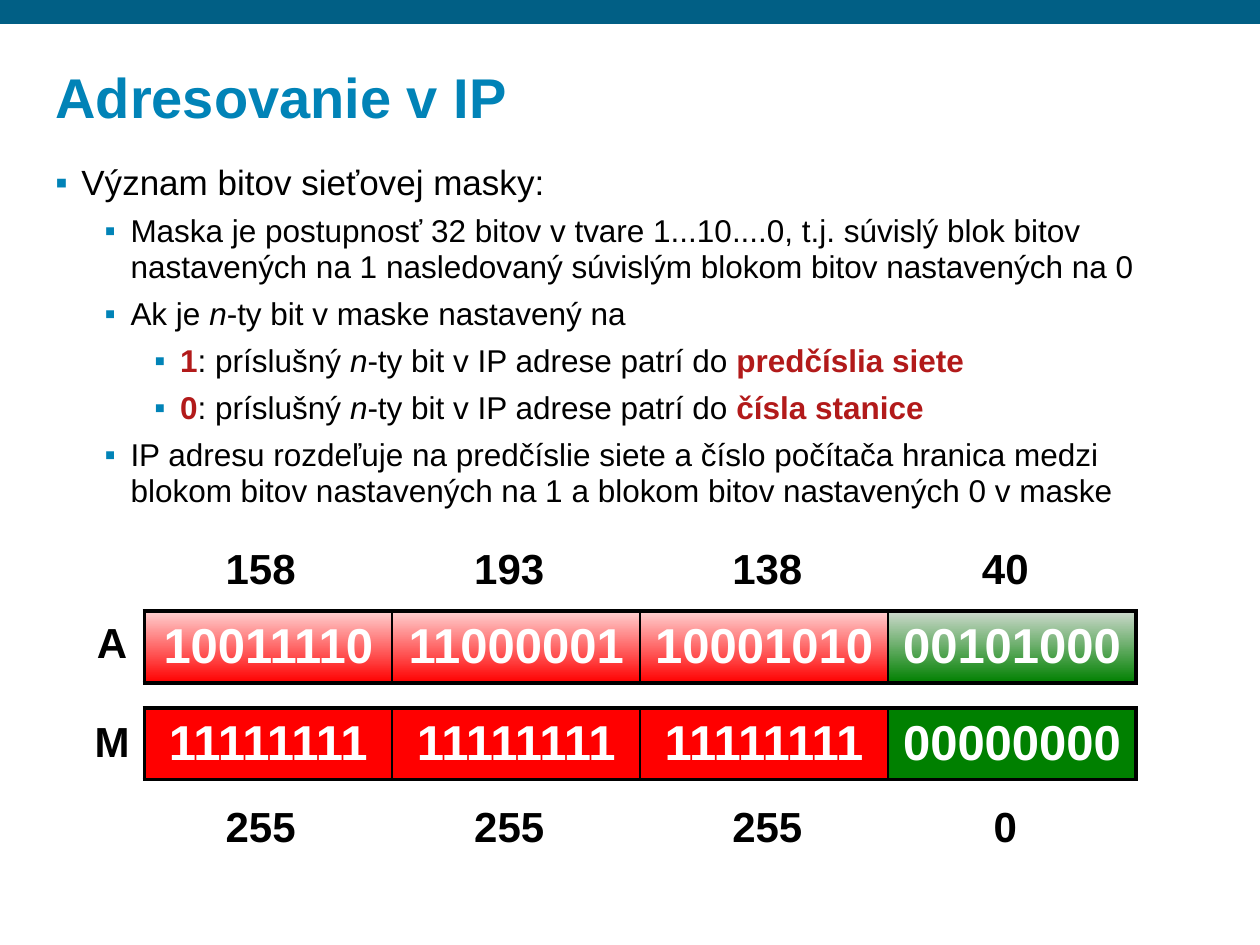
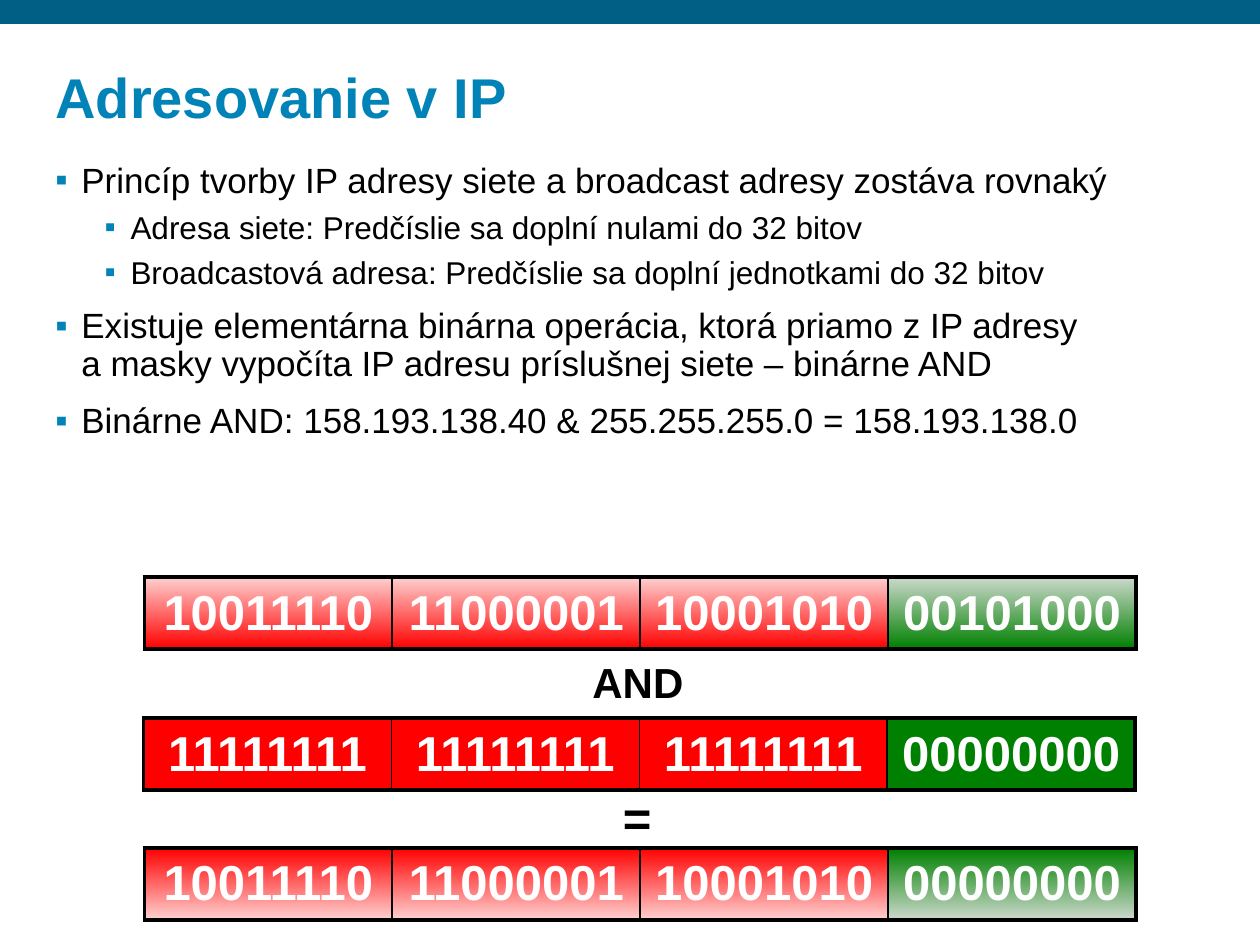
from dataclasses import dataclass

from lxml import etree
from pptx import Presentation
from pptx.dml.color import RGBColor
from pptx.enum import shapes, text
from pptx.oxml import ns
from pptx.util import Pt


@dataclass(frozen=True)
class Theme:
    font: str = "Arial"
    band: str = "015F85"
    accent: str = "0183B7"
    black: str = "000000"
    white: str = "FFFFFF"
    key: str = "B21A1A"
    red: str = "FF0000"
    pale_red: str = "FFD0D0"
    green: str = "008000"
    pale_green: str = "CDD9CD"
    title: int = 32
    bits: int = 28
    label: int = 24
    body: tuple = (20, 18, 18)          # size by outline level
    indent: tuple = (14.8, 42.9, 71.3)  # text indent by outline level
    before: tuple = (0.5, 0.35, 0.35)   # space before, share of size


T = Theme()
W, H = 720, 540
TITLE_BOX = (25.2, 23.8, 669, 54)
BODY_BOX = (25.2, 90, 669, 426)
ROW_X, ROW_W, ROW_H = 82.5, 566.6, 41
OCTET_CENTRES = (149, 291, 438.5, 574.5)
NBSP = chr(160)  # keeps a one-letter word with the next word
ADDRESS = ("10011110", "11000001", "10001010", "00101000")
MASK = ("11111111",) * 3 + ("00000000",)
NETWORK = ADDRESS[:3] + ("00000000",)

# Fills of the network part and the host part, from top to bottom
FADE_IN = ((T.pale_red, T.red), (T.pale_green, T.green))
FADE_OUT = ((T.red, T.pale_red), (T.green, T.pale_green))
SOLID = ((T.red,), (T.green,))


def rgb(value):
    return RGBColor.from_string(value)


def pts(box):
    return [Pt(v) for v in box]


def set_font(font, size, color, bold=False):
    font.name, font.size, font.bold = T.font, Pt(size), bold
    font.color.rgb = rgb(color)


def sub(parent, tag, **attrs):
    return etree.SubElement(parent, ns.qn(tag), **attrs)


def add_frame(s, box):
    """Wrapping text box with the margins of the title and body."""
    tf = s.shapes.add_textbox(*pts(box)).text_frame
    tf.word_wrap = True
    tf.margin_left = tf.margin_right = Pt(6.5)
    tf.margin_top = tf.margin_bottom = Pt(3.2)
    return tf


def add_base(prs, title):
    """Slide with the top band and the title."""
    s = prs.slides.add_slide(prs.slide_layouts[6])
    band = s.shapes.add_shape(shapes.MSO_SHAPE.RECTANGLE, *pts((0, 0, W, 13.7)))
    band.shadow.inherit = False
    band.fill.solid()
    band.fill.fore_color.rgb = rgb(T.band)
    band.line.fill.background()

    tf = add_frame(s, TITLE_BOX)
    tf.vertical_anchor = text.MSO_ANCHOR.BOTTOM
    p = tf.paragraphs[0]
    p.line_spacing = 0.9
    p.add_run().text = title
    set_font(p.font, T.title, T.accent, True)
    return s


def add_bullet(p, level):
    pPr = p._p.get_or_add_pPr()
    pPr.set("marL", str(Pt(T.indent[level])))
    pPr.set("indent", str(-Pt(T.indent[0])))
    sub(sub(pPr, "a:buClr"), "a:srgbClr", val=T.accent)
    sub(pPr, "a:buFont", typeface=T.font)
    sub(pPr, "a:buChar", char="▪")


def add_body(s, box, items):
    """Outline of (level, line spacing, runs); a run is (text, style)."""
    tf = add_frame(s, box)
    for i, (level, spacing, runs) in enumerate(items):
        p = tf.add_paragraph() if i else tf.paragraphs[0]
        p.level = level
        p.line_spacing = spacing
        p.space_before = Pt(T.body[level] * T.before[level])
        add_bullet(p, level)
        set_font(p.font, T.body[level], T.black)
        for words, style in runs:
            r = p.add_run()
            r.text = words
            if style == "italic":
                r.font.italic = True
            elif style == "key":
                r.font.bold = True
                r.font.color.rgb = rgb(T.key)


def plain(level, spacing, words):
    return level, spacing, [(words, "")]


def bit_rule(bit, part):
    return 2, 0.95, [(bit, "key"), (": príslušný ", ""), ("n", "italic"),
                     ("-ty bit v IP adrese patrí do ", ""), (part, "key")]


def add_borders(cell, first, last):
    tcPr = cell._tc.get_or_add_tcPr()
    widths = {"L": 2.25 if first else 1, "R": 2.25 if last else 1, "T": 2.25, "B": 2.25}
    for side, width in widths.items():
        ln = sub(tcPr, f"a:ln{side}", w=str(Pt(width)))
        sub(sub(ln, "a:solidFill"), "a:srgbClr", val=T.black)


def fill_cell(cell, colors):
    if len(colors) == 1:
        cell.fill.solid()
        cell.fill.fore_color.rgb = rgb(colors[0])
        return
    cell.fill.gradient()
    cell.fill.gradient_angle = 270
    for stop, color in zip(cell.fill.gradient_stops, colors):
        stop.color.rgb = rgb(color)


def add_bit_row(s, x, y, octets, fills):
    """One 32-bit row: three network octets and one host octet."""
    n = len(octets)
    table = s.shapes.add_table(1, n, *pts((x, y, ROW_W, ROW_H))).table
    table.first_row = table.horz_banding = False
    for i, octet in enumerate(octets):
        table.columns[i].width = Pt(ROW_W / n)
        cell = table.cell(0, i)
        add_borders(cell, i == 0, i == n - 1)
        fill_cell(cell, fills[i == n - 1])
        cell.vertical_anchor = text.MSO_ANCHOR.MIDDLE
        p = cell.text_frame.paragraphs[0]
        p.alignment = text.PP_ALIGN.CENTER
        p.space_before = Pt(T.bits * 0.2)
        p.add_run().text = octet
        set_font(p.font, T.bits, T.white, True)


def add_label(s, centre, y, words, size=T.label):
    """Bold label centred on a given x."""
    w, h = 14.4 + len(words) * size * 0.9, 7.2 + size * 1.08
    tf = s.shapes.add_textbox(*pts((centre - w / 2, y, w, h))).text_frame
    tf.word_wrap = False
    tf.auto_size = text.MSO_AUTO_SIZE.SHAPE_TO_FIT_TEXT
    p = tf.paragraphs[0]
    p.alignment = text.PP_ALIGN.CENTER
    p.line_spacing = 0.9
    p.add_run().text = words
    set_font(p.font, size, T.black, True)


def add_octet_labels(s, y, values):
    for centre, value in zip(OCTET_CENTRES, values):
        add_label(s, centre, y, value)


def mask_slide(prs):
    s = add_base(prs, "Adresovanie v IP")
    add_body(s, BODY_BOX, [
        plain(0, 0.95, "Význam bitov sieťovej masky:"),
        plain(1, 0.95, "Maska je postupnosť 32 bitov v tvare 1...10....0, t.j. súvislý blok bitov "
                       "nastavených na 1 nasledovaný súvislým blokom bitov nastavených na 0"),
        (1, 0.95, [("Ak je ", ""), ("n", "italic"), ("-ty bit v maske nastavený na", "")]),
        bit_rule("1", "predčíslia siete"),
        bit_rule("0", "čísla stanice"),
        plain(1, 0.95, "IP adresu rozdeľuje na predčíslie siete a číslo počítača hranica medzi "
                       "blokom bitov nastavených na 1 a blokom bitov nastavených 0 v maske"),
    ])
    # Address and mask, with their decimal values
    add_bit_row(s, ROW_X, 349.2, ADDRESS, FADE_IN)
    add_bit_row(s, ROW_X, 404.6, MASK, SOLID)
    add_label(s, 64, 352, "A")
    add_label(s, 64, 408.6, "M")
    add_octet_labels(s, 309.6, ("158", "193", "138", "40"))
    add_octet_labels(s, 457.2, ("255", "255", "255", "0"))


def and_slide(prs):
    s = add_base(prs, "Adresovanie v IP")
    add_body(s, BODY_BOX, [
        plain(0, 0.9, "Princíp tvorby IP adresy siete a broadcast adresy zostáva rovnaký"),
        plain(1, 0.9, "Adresa siete: Predčíslie sa doplní nulami do 32 bitov"),
        plain(1, 0.9, "Broadcastová adresa: Predčíslie sa doplní jednotkami do 32 bitov"),
        plain(0, 0.9, "Existuje elementárna binárna operácia, ktorá priamo z IP adresy "
                      f"a{NBSP}masky vypočíta IP adresu príslušnej siete – binárne AND"),
        plain(0, 0.95, "Binárne AND: 158.193.138.40 & 255.255.255.0 = 158.193.138.0"),
    ])
    # Address AND mask = network
    add_bit_row(s, ROW_X, 329.8, ADDRESS, FADE_IN)
    add_label(s, 364.5, 375.1, "AND")
    add_bit_row(s, ROW_X - 0.5, 410.4, MASK, SOLID)
    add_label(s, 364, 450, "=", T.bits)
    add_bit_row(s, ROW_X, 484.6, NETWORK, FADE_OUT)


def main():
    prs = Presentation()
    prs.slide_width, prs.slide_height = Pt(W), Pt(H)
    mask_slide(prs)
    and_slide(prs)
    prs.save("out.pptx")


if __name__ == "__main__":
    main()
